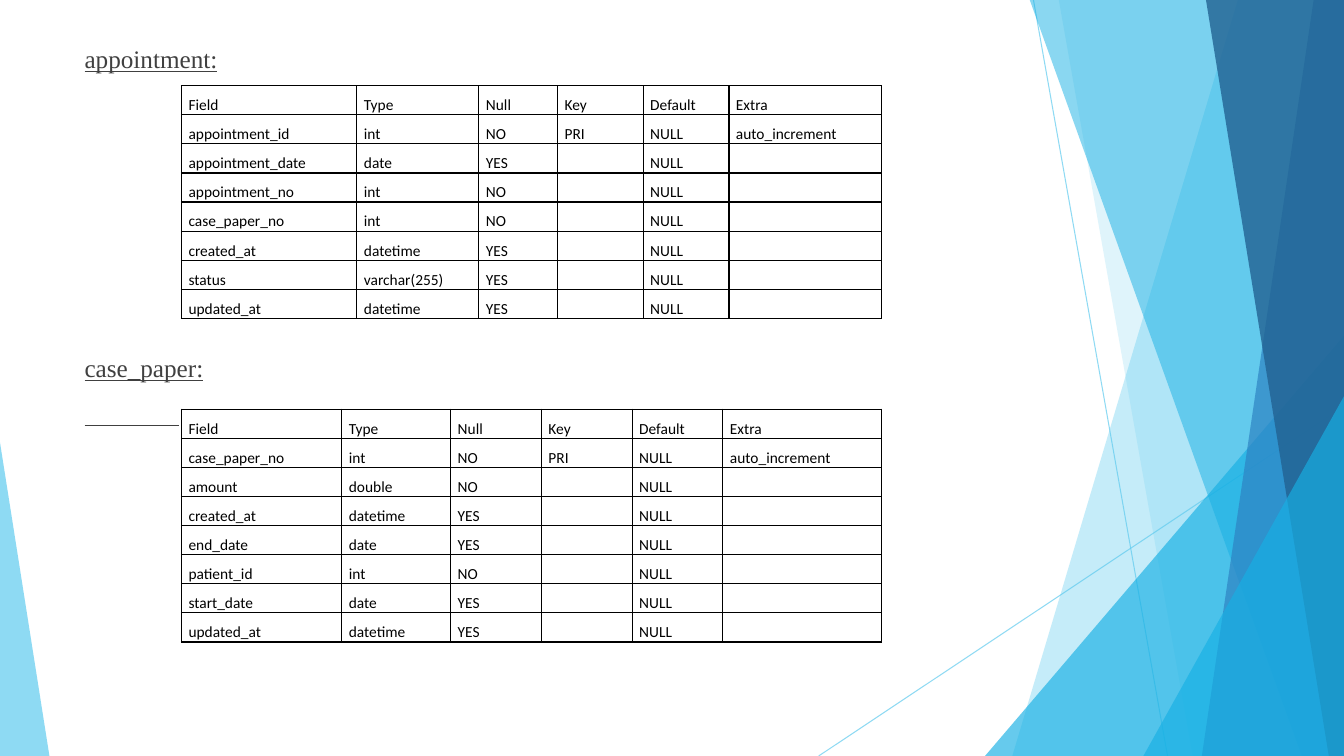
from lxml.etree import SubElement
from pptx import Presentation
from pptx.dml.color import RGBColor
from pptx.enum.shapes import MSO_CONNECTOR, MSO_SHAPE
from pptx.enum.text import MSO_ANCHOR, PP_ALIGN
from pptx.oxml.ns import qn
from pptx.util import Inches, Pt

WIDTH, HEIGHT = 13.33, 7.5
TOP = -0.01
SKY, CYAN, BLUE, NAVY = "5FCBEF", "17B0E4", "2E83C3", "226292"
BLACK, GRAY = "000000", "404040"

# start, end
RAYS = [((10.25, 0), (11.58, HEIGHT)), ((WIDTH, 4.03), (8.12, HEIGHT))]
# Bands reach the right edge: top-left x, bottom-left x, colour, opacity
# Triangles stand on the bottom edge: left, top, width, apex, colour, opacity
FACETS = [
    ("band", (12.28, 10.04, SKY, 36)),
    ("band", (10.5, 11.83, SKY, 20)),
    ("triangle", (9.77, 3.33, 3.56, 1, CYAN, 66)),
    ("band", (10.21, 12.91, CYAN, 50)),
    ("band", (13.03, 11.92, BLUE, 70)),
    ("band", (11.96, 13.18, NAVY, 80)),
    ("triangle", (11.34, 3.93, 1.99, 1, CYAN, 66)),
    ("triangle", (0, 4.39, 0.49, 0, SKY, 70)),
]

HEADER = ("Field", "Type", "Null", "Key", "Default", "Extra")
SCHEMAS = [
    {
        "title": "appointment:", "title_top": 0.38, "table_top": 0.85,
        "columns": (1.74, 1.21, 0.78, 0.85, 0.85, 1.51),
        "align": PP_ALIGN.JUSTIFY,
        "rows": [
            HEADER,
            ("appointment_id", "int", "NO", "PRI", "NULL", "auto_increment"),
            ("appointment_date", "date", "YES", "", "NULL", ""),
            ("appointment_no", "int", "NO", "", "NULL", ""),
            ("case_paper_no", "int", "NO", "", "NULL", ""),
            ("created_at", "datetime", "YES", "", "NULL", ""),
            ("status", "varchar(255)", "YES", "", "NULL", ""),
            ("updated_at", "datetime", "YES", "", "NULL", ""),
        ],
    },
    {
        "title": "case_paper:", "title_top": 3.45, "table_top": 4.06,
        "columns": (1.59, 1.08, 0.9, 0.9, 0.9, 1.57),
        "align": PP_ALIGN.LEFT,
        "rows": [
            HEADER,
            ("case_paper_no", "int", "NO", "PRI", "NULL", "auto_increment"),
            ("amount", "double", "NO", "", "NULL", ""),
            ("created_at", "datetime", "YES", "", "NULL", ""),
            ("end_date", "date", "YES", "", "NULL", ""),
            ("patient_id", "int", "NO", "", "NULL", ""),
            ("start_date", "date", "YES", "", "NULL", ""),
            ("updated_at", "datetime", "YES", "", "NULL", ""),
        ],
    },
]
TITLE_LEFT, TABLE_LEFT = 0.74, 1.8
TABLE_HEIGHT = 2.31
UNDERLINE = ((0.84, 4.22), (1.78, 4.22))


def color(value):
    return RGBColor.from_string(value)


def set_opacity(shape, percent):
    for element in shape.element.spPr.iter(qn("a:srgbClr")):
        SubElement(element, qn("a:alpha"), val=str(percent * 1000))


def add_line(page, start, end, line_color, opacity=100):
    line = page.shapes.add_connector(
        MSO_CONNECTOR.STRAIGHT, *(Inches(value) for value in start + end))
    line.line.color.rgb = color(line_color)
    line.line.width = Pt(0.75)
    SubElement(line.element.spPr, qn("a:effectLst"))
    set_opacity(line, opacity)


def finish_facet(shape, fill_color, opacity):
    shape.shadow.inherit = False
    shape.fill.solid()
    shape.fill.fore_color.rgb = color(fill_color)
    shape.line.fill.background()
    set_opacity(shape, opacity)


def add_band(page, top_x, bottom_x, fill_color, opacity):
    corners = [(WIDTH, TOP), (WIDTH, HEIGHT), (bottom_x, HEIGHT)]
    builder = page.shapes.build_freeform(Inches(top_x), Inches(TOP))
    builder.add_line_segments([(Inches(x), Inches(y)) for x, y in corners])
    finish_facet(builder.convert_to_shape(), fill_color, opacity)


def add_triangle(page, left, top, width, apex, fill_color, opacity):
    shape = page.shapes.add_shape(
        MSO_SHAPE.ISOSCELES_TRIANGLE, Inches(left), Inches(top),
        Inches(width), Inches(HEIGHT - top))
    shape.adjustments[0] = apex
    finish_facet(shape, fill_color, opacity)


def add_title(page, text, top):
    box = page.shapes.add_textbox(
        Inches(TITLE_LEFT), Inches(top), Inches(4), Inches(0.4))
    box.text_frame.word_wrap = True
    span = box.text_frame.paragraphs[0].add_run()
    span.text = text
    span.font.name = "Times New Roman"
    span.font.size = Pt(18)
    span.font.underline = True
    span.font.color.rgb = color(GRAY)


def style_cell(cell):
    cell.vertical_anchor = MSO_ANCHOR.BOTTOM
    cell.margin_left = cell.margin_right = Inches(0.07)
    cell.margin_top = cell.margin_bottom = 0
    properties = cell._tc.get_or_add_tcPr()
    for side in ("a:lnL", "a:lnR", "a:lnT", "a:lnB"):
        border = SubElement(properties, qn(side), w=str(Pt(1)))
        fill = SubElement(border, qn("a:solidFill"))
        SubElement(fill, qn("a:srgbClr"), val=BLACK)
    cell.fill.background()


def write_cell(cell, text, align):
    para = cell.text_frame.paragraphs[0]
    para.alignment = align
    para.line_spacing = 1.15
    if text:
        span = para.add_run()
        span.text = text
        span.font.name = "Calibri"
        span.font.size = Pt(11)
        span.font.color.rgb = color(BLACK)
    else:
        # Keeps an empty cell from stretching its row
        SubElement(para._p, qn("a:endParaRPr"), sz="1100")


def add_schema(page, schema):
    rows, columns = schema["rows"], schema["columns"]
    table = page.shapes.add_table(
        len(rows), len(columns), Inches(TABLE_LEFT), Inches(schema["table_top"]),
        Inches(sum(columns)), Inches(TABLE_HEIGHT)).table
    table.first_row = table.horz_banding = False
    for column, width in zip(table.columns, columns):
        column.width = Inches(width)
    for row, texts in zip(table.rows, rows):
        row.height = Inches(TABLE_HEIGHT / len(rows))
        for cell, text in zip(row.cells, texts):
            style_cell(cell)
            write_cell(cell, text, schema["align"])


def main():
    deck = Presentation()
    deck.slide_width, deck.slide_height = Inches(WIDTH), Inches(HEIGHT)
    page = deck.slides.add_slide(deck.slide_layouts[6])
    for start, end in RAYS:
        add_line(page, start, end, SKY, 70)
    draw = {"band": add_band, "triangle": add_triangle}
    for kind, values in FACETS:
        draw[kind](page, *values)
    for schema in SCHEMAS:
        add_title(page, schema["title"], schema["title_top"])
        add_schema(page, schema)
    add_line(page, *UNDERLINE, GRAY)
    deck.save("out.pptx")


if __name__ == "__main__":
    main()
